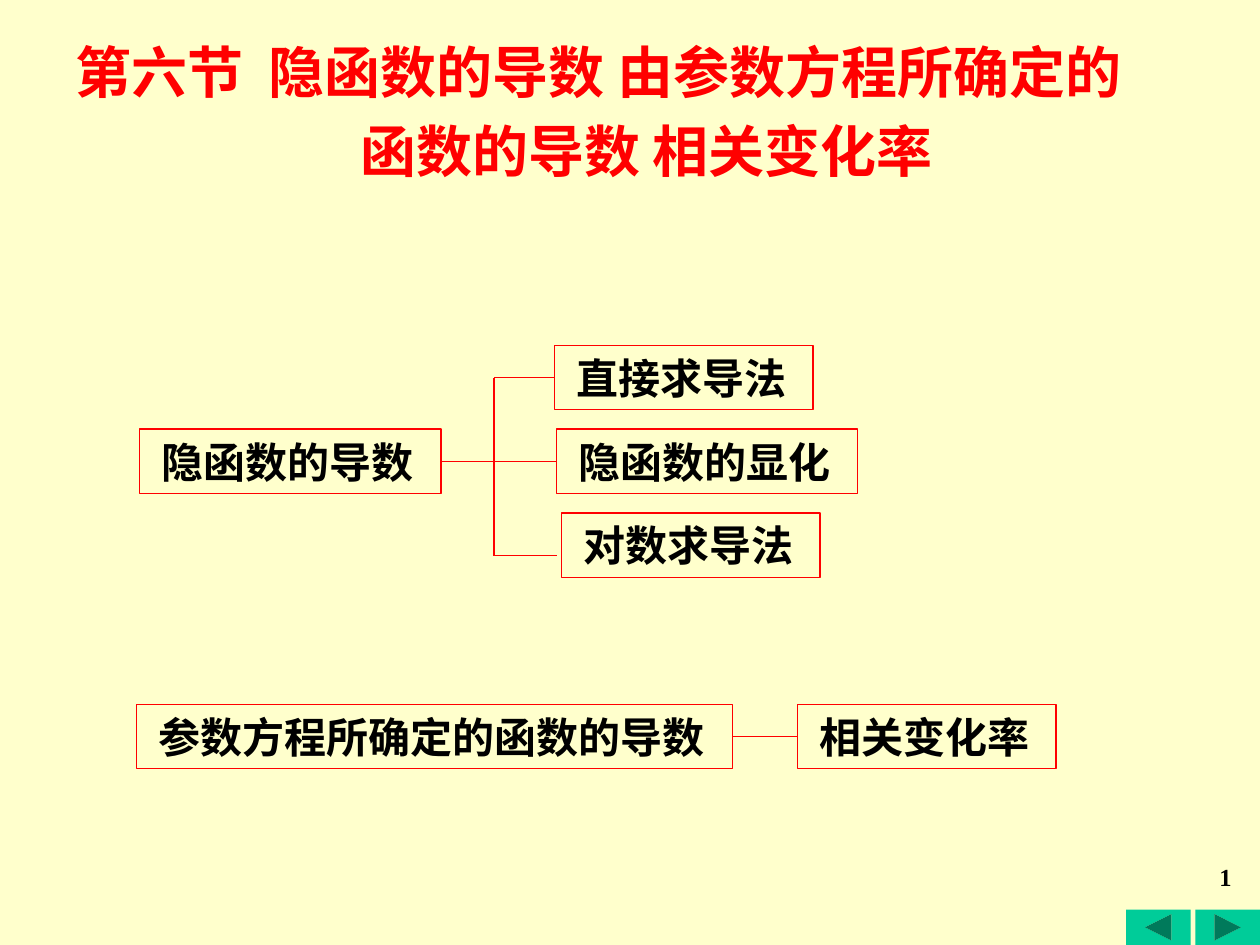
from pptx import Presentation
from pptx import util as u
from pptx.dml.color import RGBColor
from pptx.enum import shapes, text
from pptx.oxml.ns import qn
from lxml import etree

CREAM = RGBColor(0xFF, 0xFF, 0xCC)
RED = RGBColor(0xFF, 0, 0)
BLACK = RGBColor(0, 0, 0)
GREEN = RGBColor(0, 0xCC, 0x99)
CJK = "Noto Sans CJK SC"
ROMAN = "Times New Roman"
LEFT, RIGHT = 1, 3  # connection sites of a rectangle
BOX_H = 1.3

HEAD = {"size": u.Pt(32), "name": CJK, "bold": True}
NODE = {"size": u.Pt(24), "name": ROMAN, "bold": True}
PAGE = {"size": u.Pt(14), "name": ROMAN, "bold": True}


def write(shape, words, style, color, align=text.PP_ALIGN.LEFT):
    frame = shape.text_frame
    layout = {"word_wrap": False, "margin_top": 0, "margin_bottom": 0,
              "vertical_anchor": text.MSO_ANCHOR.MIDDLE}
    for key, val in layout.items():
        setattr(frame, key, val)
    para = frame.paragraphs[0]
    para.alignment = align
    run = para.add_run()
    run.text = words
    for key, val in style.items():
        setattr(run.font, key, val)
    run.font.color.rgb = color
    east = etree.SubElement(run.font._element, qn("a:ea"))
    east.set("typeface", CJK)


def label(slide, box, *args):
    write(slide.shapes.add_textbox(*map(u.Cm, box)), *args)


def node(slide, x, y, w, words):
    box = slide.shapes.add_shape(shapes.MSO_SHAPE.RECTANGLE,
                                 *map(u.Cm, (x, y, w, BOX_H)))
    box.shadow.inherit = False
    box.fill.background()
    box.line.color.rgb = RED
    box.line.width = u.Pt(0.75)
    write(box, " " + words, NODE, BLACK)
    return box


def link(slide, x1, y1, x2, y2, start=None, end=None):
    """Draw a red line, joined to the right of start and the left of end."""
    line = slide.shapes.add_connector(shapes.MSO_CONNECTOR.STRAIGHT,
                                      *map(u.Cm, (x1, y1, x2, y2)))
    line.line.color.rgb = RED
    line.line.width = u.Pt(0.75)
    etree.SubElement(line._element.spPr, qn("a:effectLst"))
    if start is not None:
        line.begin_connect(start, RIGHT)
    if end is not None:
        line.end_connect(end, LEFT)


def title(slide, x, y):
    label(slide, (x, y, 22.6, 1.6), "第六节  隐函数的导数 由参数方程所确定的",
          HEAD, RED)
    label(slide, (x + 5.56, y + 1.58, 12.42, 1.6), "函数的导数 相关变化率",
          HEAD, RED, text.PP_ALIGN.CENTER)


def tree(slide, x, y):
    """Place the implicit function node and its three methods."""
    step = 1.69
    mid = y + step + BOX_H / 2
    root = node(slide, x, y + step, 6.07, "隐函数的导数")
    leaves = [(8.36, 5.21, "直接求导法"), (8.4, 6.07, "隐函数的显化"),
              (8.5, 5.21, "对数求导法")]
    top, center, _ = [node(slide, x + dx, y + i * step, w, words)
                      for i, (dx, w, words) in enumerate(leaves)]
    trunk, tip = x + 7.14, x + 8.4
    high, low = y + BOX_H / 2, mid + 1.9
    link(slide, trunk, high, trunk, low)
    link(slide, x + 6.07, mid, trunk, mid, start=root)
    link(slide, trunk, high, tip, high, end=top)
    link(slide, trunk, mid, tip, mid, end=center)
    link(slide, trunk, low, tip, low)


def pair(slide, x, y):
    """Place the parametric node and the related rates node."""
    first = node(slide, x, y, 12.02, "参数方程所确定的函数的导数")
    second = node(slide, x + 13.33, y, 5.21, "相关变化率")
    mid = y + BOX_H / 2
    link(slide, x + 12.02, mid, x + 13.33, mid, first, second)


def footer(slide, x, y):
    kinds = (shapes.MSO_SHAPE.ACTION_BUTTON_BACK_OR_PREVIOUS,
             shapes.MSO_SHAPE.ACTION_BUTTON_FORWARD_OR_NEXT)
    for i, kind in enumerate(kinds):
        button = slide.shapes.add_shape(
            kind, *map(u.Cm, (x + i * 1.4, y, 1.3, 0.71)))
        button.shadow.inherit = False
        button.fill.solid()
        button.fill.fore_color.rgb = GREEN
        button.line.fill.background()
    label(slide, (x - 2.9, y - 1.17, 5.28, 1.0), "1", PAGE, BLACK,
          text.PP_ALIGN.RIGHT)


def main():
    deck = Presentation()
    deck.slide_width, deck.slide_height = u.Cm(25.4), u.Cm(19.05)
    slide = deck.slides.add_slide(deck.slide_layouts[6])
    slide.background.fill.solid()
    slide.background.fill.fore_color.rgb = CREAM
    footer(slide, 22.7, 18.34)
    title(slide, 1.27, 0.64)
    tree(slide, 2.82, 6.96)
    pair(slide, 2.75, 14.2)
    deck.save("out.pptx")


if __name__ == "__main__":
    main()
